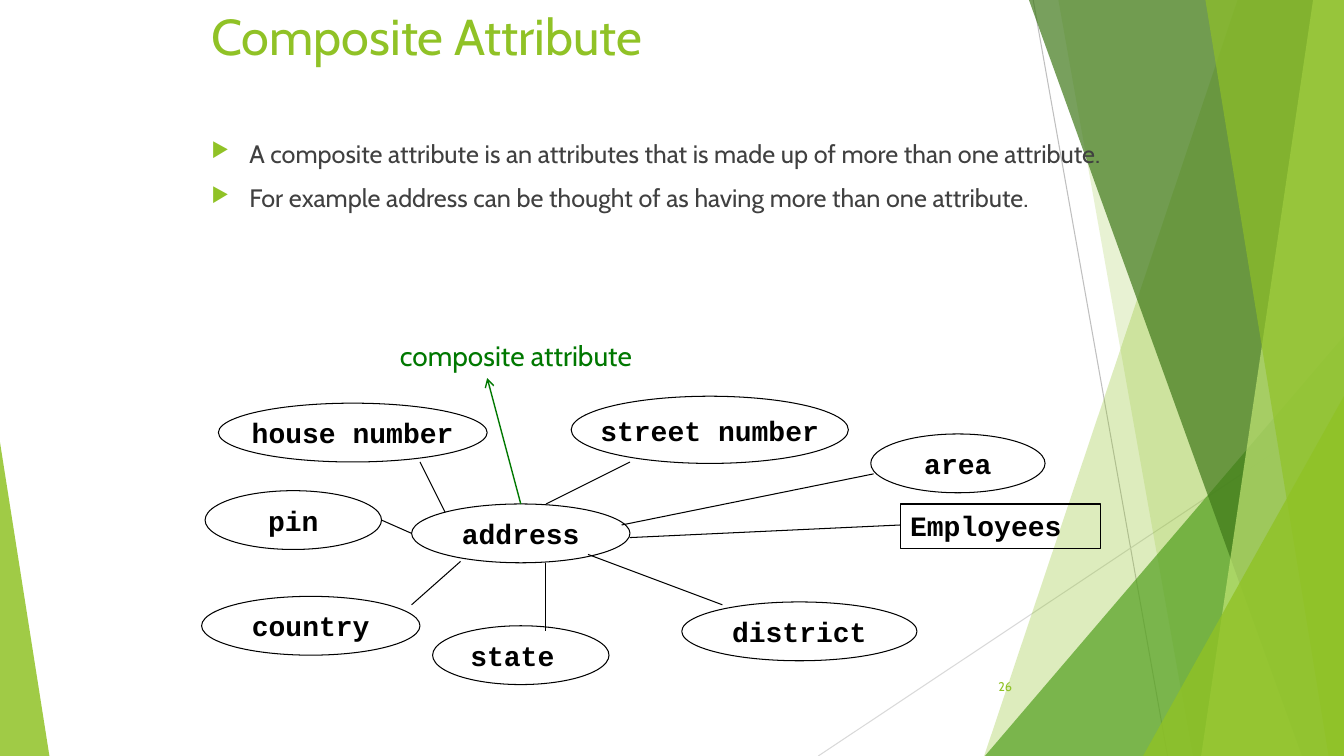
from lxml import etree
from pptx import Presentation
from pptx.dml.color import RGBColor
from pptx.enum.shapes import MSO_CONNECTOR, MSO_SHAPE
from pptx.enum.text import MSO_ANCHOR, PP_ALIGN
from pptx.oxml.ns import qn
from pptx.util import Pt

ELLIPSE, RECTANGLE = MSO_SHAPE.OVAL, MSO_SHAPE.RECTANGLE
TRIANGLE = MSO_SHAPE.ISOSCELES_TRIANGLE
STRAIGHT = MSO_CONNECTOR.STRAIGHT
TOP, MIDDLE = MSO_ANCHOR.TOP, MSO_ANCHOR.MIDDLE
LEFT, CENTER, RIGHT = PP_ALIGN.LEFT, PP_ALIGN.CENTER, PP_ALIGN.RIGHT

WIDTH, HEIGHT = 960, 540
THEME = {
    "colours": {
        "lime": "90C226", "leaf": "54A021", "forest": "3F7819", "pale": "C0E474",
        "ink": "000000", "body": "404040", "callout": "007800",
        "ray": "BFBFBF", "faint ray": "D9D9D9",
    },
    "title": ("lime", {"name": "Cabin", "size": Pt(36)}),
    "bullets": ("body", {"name": "Cabin", "size": Pt(18)}),
    "page number": ("lime", {"name": "Cabin", "size": Pt(9)}),
    "callout": ("callout", {"name": "Cabin", "size": Pt(20)}),
    "node": ("ink", {"name": "Courier New", "size": Pt(20), "bold": True}),
}
COLOURS = {name: RGBColor.from_string(code) for name, code in THEME["colours"].items()}


def write(shape, lines, style, **frame_format):
    """Fill a shape with paragraphs in one theme style."""
    colour, font_format = THEME[style]
    frame = shape.text_frame
    align = frame_format.pop("alignment", LEFT)
    for name, value in ({"word_wrap": True, "vertical_anchor": TOP} | frame_format).items():
        setattr(frame, name, value)
    frame.text = "\n".join(lines)
    for paragraph in frame.paragraphs:
        paragraph.alignment = align
        font = paragraph.runs[0].font
        font.color.rgb = COLOURS[colour]
        for name, value in font_format.items():
            setattr(font, name, value)
    return frame


def connect(start, end, colour, weight=0.75):
    """Draw a straight line without a shadow."""
    connector = slide.shapes.add_connector(STRAIGHT, *map(Pt, start + end))
    connector.line.color.rgb = COLOURS[colour]
    connector.line.width = Pt(weight)
    etree.SubElement(connector._element.spPr, qn("a:effectLst"))
    return connector


deck = Presentation()
deck.slide_width, deck.slide_height = Pt(WIDTH), Pt(HEIGHT)
slide = deck.slides.add_slide(deck.slide_layouts[6])

# Rays behind the green facets
connect((738, 0), (834, HEIGHT), "ray")
connect((WIDTH, 290), (584.5, HEIGHT), "faint ray")

# Green facets: a band has its left edge at top and bottom,
# a triangle has its box and the side of its apex
facets = [
    ((884.3, 703), "lime", 30),
    ((756, 852), "lime", 20),
    ((703.5, 240, 256.5, 300, 1), "leaf", 72),
    ((735, 929.5), "forest", 70),
    ((938.2, 858.2), "pale", 70),
    ((861.2, 949), "lime", 65),
    ((816.5, 283, 143.5, 257, 1), "lime", 80),
    ((0, 316, 35.3, 224, 0), "lime", 85),
]
for outline, colour, opacity in facets:
    if len(outline) == 2:
        top_x, bottom_x = outline
        builder = slide.shapes.build_freeform(top_x, 0, scale=Pt(1))
        builder.add_line_segments([(WIDTH, 0), (WIDTH, HEIGHT), (bottom_x, HEIGHT)])
        facet = builder.convert_to_shape()
    else:
        *box, apex = outline
        facet = slide.shapes.add_shape(TRIANGLE, *map(Pt, box))
        facet.adjustments[0] = apex
    facet.shadow.inherit = False
    facet.line.fill.background()
    facet.fill.solid()
    facet.fill.fore_color.rgb = COLOURS[colour]
    tint = facet._element.spPr.find(qn("a:solidFill"))[0]
    etree.SubElement(tint, qn("a:alpha"), val=str(opacity * 1000))

# Title and page number
title = slide.shapes.add_textbox(Pt(144), Pt(0), Pt(612), Pt(66))
write(title, ["Composite Attribute"], "title")
page_number = slide.shapes.add_textbox(Pt(676), Pt(476), Pt(54), Pt(29))
write(page_number, ["26"], "page number", vertical_anchor=MIDDLE, alignment=RIGHT)

# Definition bullets
definition = slide.shapes.add_textbox(Pt(144), Pt(95), Pt(654), Pt(174))
definition_frame = write(definition, [
    "A composite attribute is an attributes that is made up of more than one attribute.",
    "For example address can be thought of as having more than one attribute.",
], "bullets")
for position, paragraph in enumerate(definition_frame.paragraphs):
    paragraph.space_before = Pt(10 if position else 0)
    properties = paragraph._p.get_or_add_pPr()
    properties.set("marL", str(Pt(27)))
    properties.set("indent", str(-Pt(27)))
    bullet_colour = etree.SubElement(properties, qn("a:buClr"))
    etree.SubElement(bullet_colour, qn("a:srgbClr"), val=THEME["colours"]["lime"])
    etree.SubElement(properties, qn("a:buSzPct"), val="80000")
    etree.SubElement(properties, qn("a:buChar"), char="▶")

# Diagram nodes: address, its parts and the entity
nodes = [
    ("address", ELLIPSE, (294, 360, 156, 42)),
    ("house number", ELLIPSE, (156, 288, 192, 42)),
    ("street number", ELLIPSE, (408, 283, 198, 48)),
    ("area", ELLIPSE, (622, 310, 124.5, 42)),
    ("district", ELLIPSE, (487, 430, 168, 42)),
    ("state ", ELLIPSE, (309, 447, 126, 42)),
    ("country", ELLIPSE, (144, 426, 156, 42)),
    ("pin", ELLIPSE, (146.5, 350.5, 126, 42)),
    ("Employees", RECTANGLE, (643, 360, 143, 31.5)),
]
for label, outline, box in nodes:
    node = slide.shapes.add_shape(outline, *map(Pt, box))
    node.shadow.inherit = False
    node.fill.background()
    node.line.color.rgb = COLOURS["ink"]
    node.line.width = Pt(0.75)
    if outline == ELLIPSE:
        write(node, [label], "node", word_wrap=False, vertical_anchor=MIDDLE, alignment=CENTER)
    else:
        write(node, [label], "node")

# Spokes from address to each node
spokes = {
    "house number": ((318, 366), (300, 330)),
    "street number": ((390, 360), (450, 330)),
    "area": ((444, 375), (624, 338.5)),
    "Employees": ((450, 384), (643, 375)),
    "district": ((420, 396), (516, 432)),
    "state": ((390, 402), (390, 450.5)),
    "country": ((329, 401), (294, 432)),
    "pin": ((294, 381), (272.5, 371.5)),
}
for start, end in spokes.values():
    connect(start, end, "ink")

# Callout naming the composite attribute
callout = slide.shapes.add_textbox(Pt(278.5), Pt(238.5), Pt(187), Pt(31.5))
write(callout, ["composite attribute"], "callout", word_wrap=False)
pointer = connect((372, 360), (348, 270), "callout", 1)
etree.SubElement(pointer.line._get_or_add_ln(), qn("a:tailEnd"), type="arrow")

deck.save("out.pptx")
